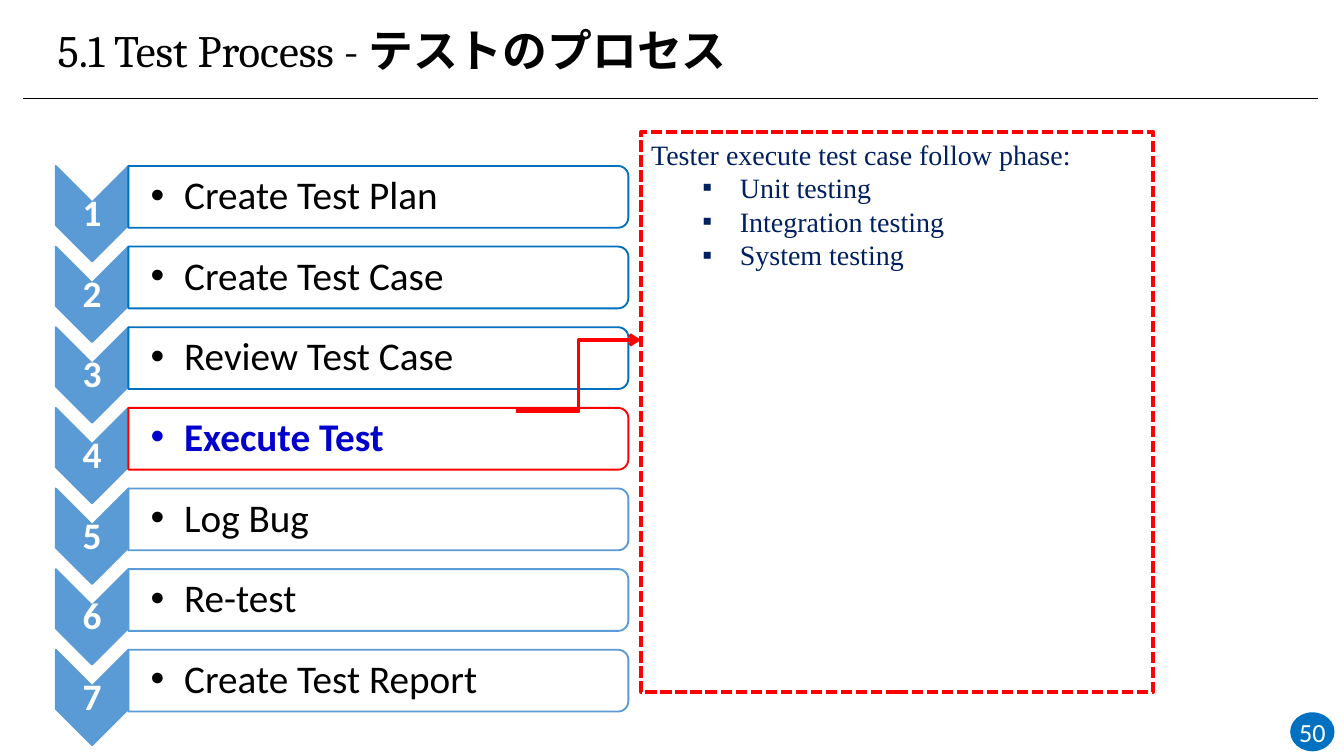
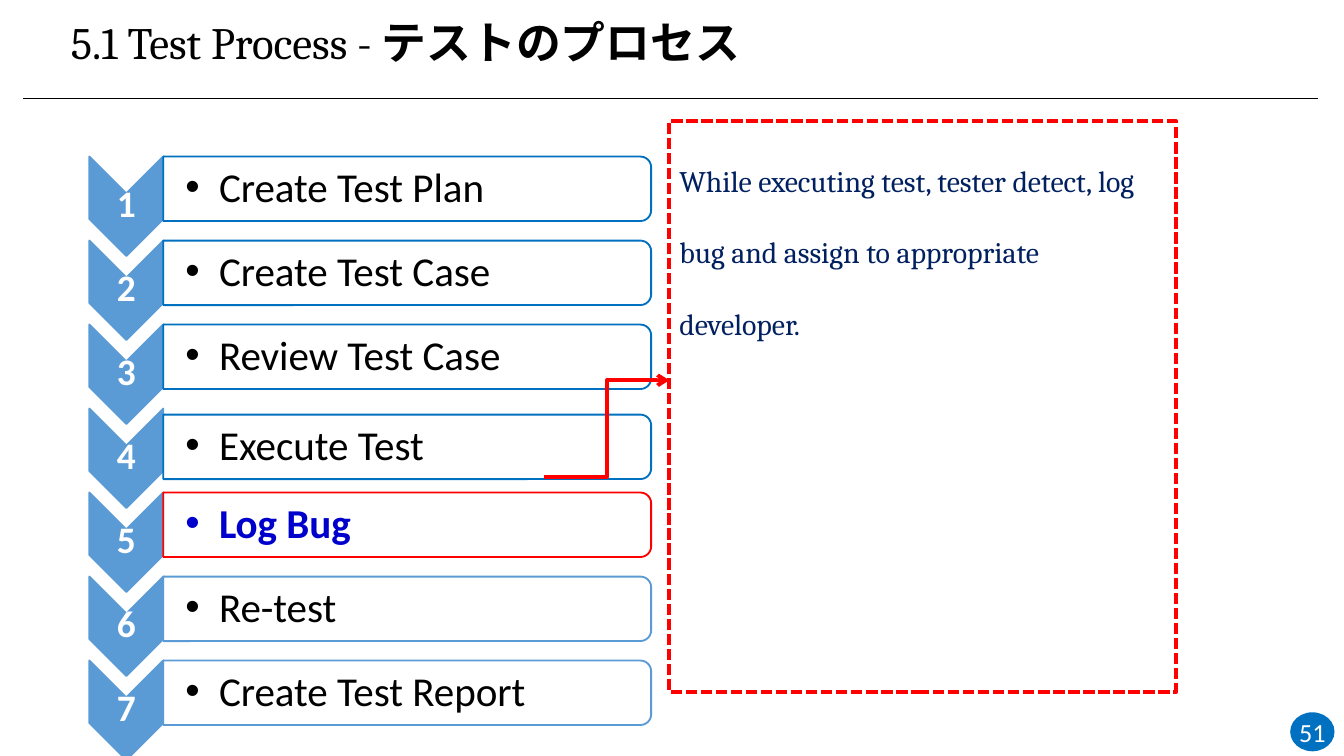
from lxml.etree import SubElement
from pptx import Presentation
from pptx.dml.color import RGBColor
from pptx.enum.dml import MSO_LINE
from pptx.enum.shapes import MSO_CONNECTOR, MSO_SHAPE
from pptx.enum.text import MSO_ANCHOR, PP_ALIGN
from pptx.oxml.ns import qn
from pptx.util import Emu, Pt

# Colours
BLACK = RGBColor(0x00, 0x00, 0x00)
WHITE = RGBColor(0xFF, 0xFF, 0xFF)
BLUE = RGBColor(0x00, 0x70, 0xC0)
LIGHT_BLUE = RGBColor(0x5B, 0x9B, 0xD5)
STRONG_BLUE = RGBColor(0x00, 0x00, 0xCC)
NAVY = RGBColor(0x00, 0x20, 0x60)
RED = RGBColor(0xFF, 0x00, 0x00)

STEPS = ["Create Test Plan", "Create Test Case", "Review Test Case", "Execute Test",
         "Log Bug", "Re-test", "Create Test Report"]


def px(n):
    """200 px to the inch."""
    return Emu(round(n * 4572))


def write(tf, text, font="Calibri", size=14, color=BLACK, bold=False, align=PP_ALIGN.LEFT,
          spacing=None, bullet=None, indent=(0, 0), join=False):
    """Write a paragraph, or a further run of the last one if join is set."""
    p = tf.paragraphs[-1]
    if p.runs and not join:
        p = tf.add_paragraph()
    if not join:
        p.alignment = align
        if spacing:
            p.line_spacing = spacing
        if bullet:
            pPr = p._p.get_or_add_pPr()
            pPr.set("marL", str(px(indent[0])))
            pPr.set("indent", str(px(indent[1])))
            SubElement(pPr, qn("a:buFont")).set("typeface", "Arial")
            SubElement(pPr, qn("a:buChar")).set("char", bullet)
    r = p.add_run()
    r.text = text
    r.font.name, r.font.size, r.font.bold = font, Pt(size), bold
    r.font.color.rgb = color


class Deck:
    def __init__(self):
        self.prs = Presentation()
        self.prs.slide_width, self.prs.slide_height = px(2000), px(1125)
        self.s = None

    def frame(self, sp, insets, anchor):
        tf = sp.text_frame
        tf.word_wrap = True
        tf.vertical_anchor = anchor
        (tf.margin_left, tf.margin_top,
         tf.margin_right, tf.margin_bottom) = [px(n) for n in insets]
        return tf

    def text_box(self, x, y, w, h, insets=(2, 2, 2, 2)):
        sp = self.s.shapes.add_textbox(px(x), px(y), px(w), px(h))
        return self.frame(sp, insets, MSO_ANCHOR.MIDDLE)

    def shape(self, kind, x, y, w, h, fill=None, line=None, width=1):
        sp = self.s.shapes.add_shape(kind, px(x), px(y), px(w), px(h))
        sp.shadow.inherit = False
        if fill is None:
            sp.fill.background()
        else:
            sp.fill.solid()
            sp.fill.fore_color.rgb = fill
        if line is None:
            sp.line.fill.background()
        else:
            sp.line.color.rgb, sp.line.width = line, Pt(width)
        return sp

    def turned(self, kind, x, y, w, h, fill, line):
        """Shape turned by 90 degrees that fills the given box."""
        sp = self.shape(kind, x + (w - h) / 2, y + (h - w) / 2, h, w, fill, line)
        sp.rotation = 90
        return sp

    def connector(self, kind, start, end, color, width, arrow=False):
        c = self.s.shapes.add_connector(kind, *[px(n) for n in start + end])
        c.line.color.rgb, c.line.width = color, Pt(width)
        if arrow:
            SubElement(c.line._get_or_add_ln(), qn("a:tailEnd")).set("type", "arrow")
        SubElement(c._element.spPr, qn("a:effectLst"))

    def new_slide(self, number, title_x, title_y):
        self.s = self.prs.slides.add_slide(self.prs.slide_layouts[6])
        # Title
        tf = self.text_box(title_x, title_y, 1408, 106, (20, 10, 20, 10))
        write(tf, "5.1 Test Process - ", font="Cambria", size=24, spacing=0.9)
        write(tf, "テストのプロセス", font="Cambria", size=24, bold=True, join=True)
        # Rule and page number
        self.connector(MSO_CONNECTOR.STRAIGHT, (34, 146), (1962, 146), BLACK, 0.5)
        sp = self.shape(MSO_SHAPE.OVAL, 1920, 1060, 66, 58, BLUE)
        tf = self.frame(sp, (0, 0, 0, 0), MSO_ANCHOR.MIDDLE)
        write(tf, str(number), color=WHITE, align=PP_ALIGN.CENTER)

    def steps(self, x, y, pitch, chevron, bar, size, current, nudges):
        """Numbered chevrons with bars; the current step stands out."""
        (cw, ch), (bw, bh) = chevron, bar
        for i, name in enumerate(STEPS, 1):
            top = y + (i - 1) * pitch
            self.turned(MSO_SHAPE.CHEVRON, x, top, cw, ch, LIGHT_BLUE, LIGHT_BLUE)
            tf = self.text_box(x, top + 51, cw, 42)
            write(tf, str(i), size=20, color=WHITE, bold=True,
                  align=PP_ALIGN.CENTER, spacing=0.9)

            now = i == current
            line = RED if now else BLUE if i < max(current, 5) else LIGHT_BLUE
            if i == 4 and not now:
                line = BLUE
            top += nudges.get(i, 0)
            sp = self.turned(MSO_SHAPE.ROUND_2_SAME_RECTANGLE, x + cw, top, bw, bh, WHITE, line)
            rgb = sp.fill._xPr.find(".//" + qn("a:srgbClr"))
            SubElement(rgb, qn("a:alpha")).set("val", "90000")
            tf = self.text_box(x + cw, top + 4, bw - 6, bh - 8, (33, 2, 2, 2))
            write(tf, name, size=size, color=STRONG_BLUE if now else BLACK, bold=now,
                  spacing=0.9, bullet="•", indent=(50, -50))

    def panel(self, x, y, w, h, start, end_y):
        """Dashed box with an arrow that leads to it."""
        self.connector(MSO_CONNECTOR.ELBOW, start, (x, end_y), RED, 2, arrow=True)
        sp = self.shape(MSO_SHAPE.RECTANGLE, x, y, w, h, line=RED, width=2)
        sp.line.dash_style = MSO_LINE.SQUARE_DOT
        return self.frame(sp, (15, 8, 15, 8), MSO_ANCHOR.TOP)


def main():
    deck = Deck()

    # Execute Test
    deck.new_slide(50, 66, 26)
    deck.steps(83, 247, 120, (108, 142), (744, 92), 21, current=4, nudges={})
    tf = deck.panel(954, 196, 762, 834, (768, 612), 506)
    style = dict(font="Times New Roman", size=15, color=NAVY)
    write(tf, "Tester execute test case follow phase:", **style)
    for phase in ("Unit testing", "Integration testing", "System testing"):
        write(tf, phase, bullet="▪", indent=(132, -56), **style)

    # Log Bug
    deck.new_slide(51, 86, 14)
    deck.steps(133, 233, 125, (110, 148), (726, 96), 22, current=5, nudges={4: 9})
    tf = deck.panel(996, 180, 754, 850, (810, 710), 566)
    write(tf, "While executing test, tester detect, log bug and assign to appropriate developer.",
          font="Cambria", size=16, color=NAVY, spacing=2.0)

    deck.prs.save("out.pptx")


if __name__ == "__main__":
    main()
